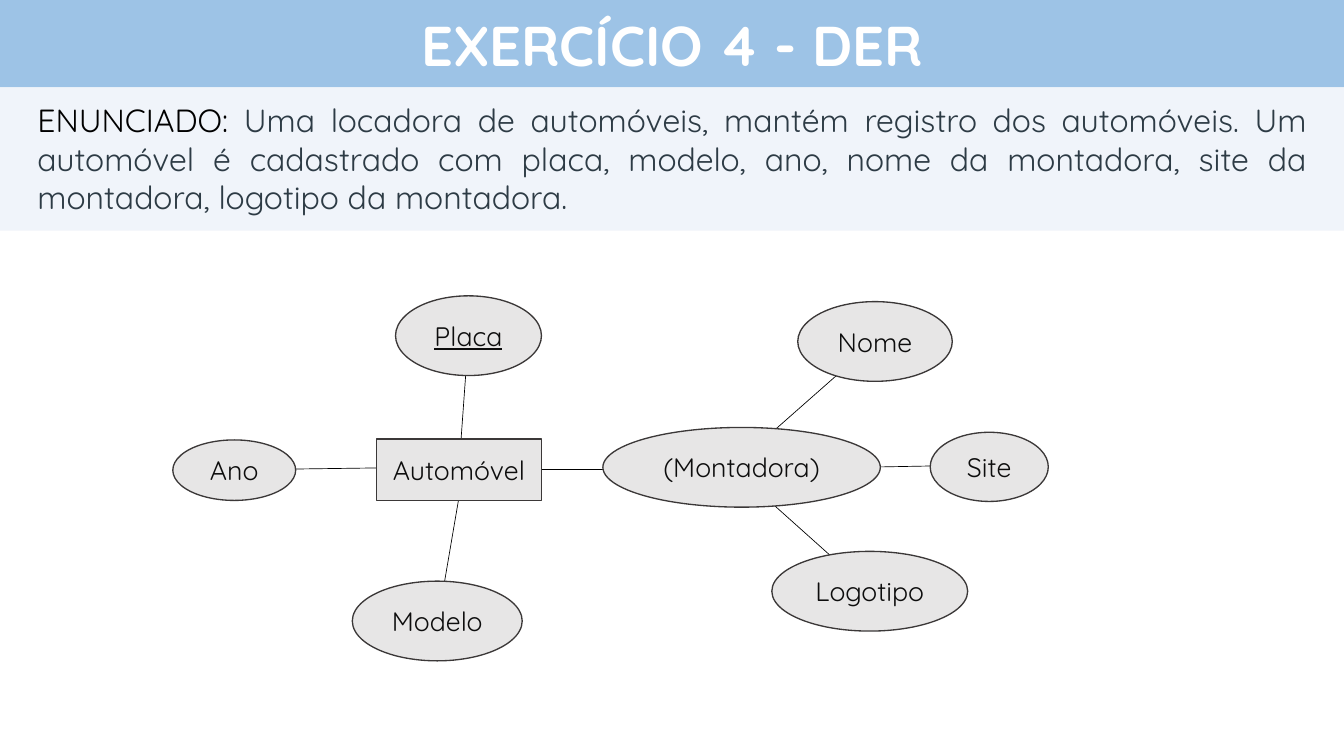
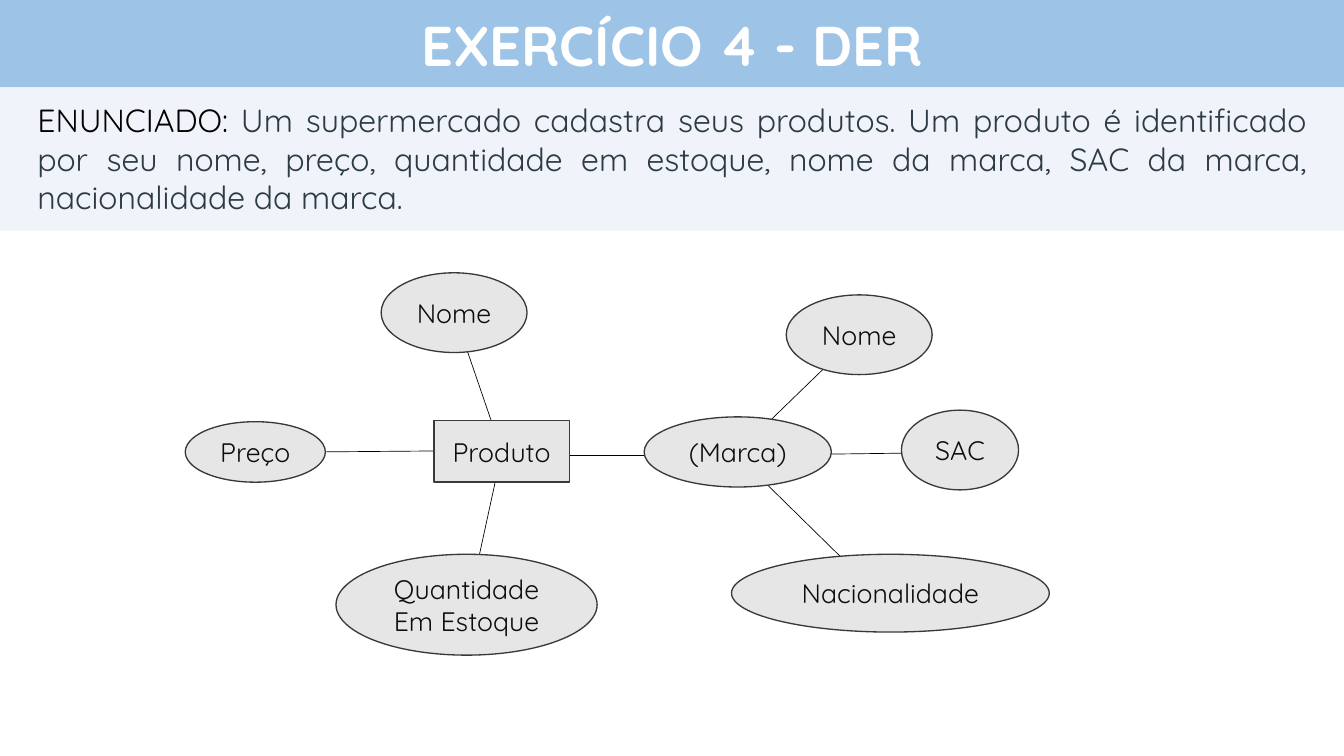
"""Build two entity-relationship exercise slides."""
from dataclasses import dataclass

from lxml import etree
from pptx import Presentation
from pptx.dml.color import RGBColor
from pptx.enum.shapes import MSO_CONNECTOR, MSO_SHAPE
from pptx.enum.text import MSO_ANCHOR, MSO_AUTO_SIZE, PP_ALIGN
from pptx.oxml.ns import qn
from pptx.util import Inches, Pt

RECT, OVAL = MSO_SHAPE.RECTANGLE, MSO_SHAPE.OVAL
STRAIGHT = MSO_CONNECTOR.STRAIGHT
TOP, MIDDLE = MSO_ANCHOR.TOP, MSO_ANCHOR.MIDDLE
CENTER, JUSTIFY = PP_ALIGN.CENTER, PP_ALIGN.JUSTIFY
FIT_SHAPE = MSO_AUTO_SIZE.SHAPE_TO_FIT_TEXT

FONT = "Quicksand"
WIDTH, HEIGHT = 14, 7.87
TITLE_HEIGHT, STATEMENT_HEIGHT = 0.91, 1.49
TITLE = "EXERCÍCIO 4 - DER"
COLORS = {
    "title_band": "9DC3E6",
    "title": "FFFFFF",
    "statement_band": "F0F4FA",
    "label": "000000",
    "statement": "2D3B45",
    "node": "E7E6E6",
    "outline": "3B3838",
    "node_text": "0D0D0D",
    "link": "000000",
}


@dataclass(frozen=True)
class Node:
    text: str
    left: float
    top: float
    width: float
    height: float = 0.83
    shape: MSO_SHAPE = OVAL
    key: bool = False


@dataclass(frozen=True)
class Link:
    x1: float
    y1: float
    x2: float
    y2: float


@dataclass(frozen=True)
class Exercise:
    statement: str
    nodes: tuple[Node, ...]
    links: tuple[Link, ...]


EXERCISES = (
    Exercise(
        "Uma locadora de automóveis, mantém registro dos automóveis. "
        "Um automóvel é cadastrado com placa, modelo, ano, nome da montadora, "
        "site da montadora, logotipo da montadora.",
        (
            Node("Automóvel", 3.92, 4.57, 1.72, 0.64, RECT),
            Node("Placa", 4.12, 3.08, 1.52, key=True),
            Node("Modelo", 3.67, 6.05, 1.77),
            Node("Ano", 1.8, 4.58, 1.28, 0.63),
            Node("(Montadora)", 6.28, 4.45, 2.89),
            Node("Nome", 8.31, 3.14, 1.61),
            Node("Site", 9.69, 4.5, 1.23, 0.72),
            Node("Logotipo", 8.04, 5.74, 2.04),
        ),
        (
            Link(4.88, 3.5, 4.78, 4.89),
            Link(2.54, 4.89, 4.78, 4.86),
            Link(4.56, 6.47, 4.83, 4.89),
            Link(7.65, 4.89, 4.88, 4.89),
            Link(9.11, 3.56, 7.6, 4.89),
            Link(10.3, 4.84, 7.6, 4.89),
            Link(9.06, 6.15, 7.65, 4.89),
        ),
    ),
    Exercise(
        "Um supermercado cadastra seus produtos. Um produto é identificado "
        "por seu nome, preço, quantidade em estoque, nome da marca, "
        "SAC da marca, nacionalidade da marca.",
        (
            Node("Produto", 4.52, 4.38, 1.41, 0.64, RECT),
            Node("(Marca)", 6.71, 4.34, 1.95, 0.73),
            Node("Nome", 8.19, 3.07, 1.52),
            Node("SAC", 9.39, 4.27, 1.22),
            Node("Nacionalidade", 7.62, 5.77, 3.31, 0.81),
            Node("Nome", 3.97, 2.84, 1.52),
            Node("Quantidade Em Estoque", 3.5, 5.77, 2.72, 1.05),
            Node("Preço", 1.93, 4.39, 1.46, 0.63),
        ),
        (
            Link(4.75, 3.31, 5.23, 4.71),
            Link(2.66, 4.71, 5.12, 4.69),
            Link(4.86, 6.39, 5.23, 4.69),
            Link(7.68, 4.74, 5.23, 4.74),
            Link(8.95, 3.48, 7.68, 4.71),
            Link(10, 4.71, 7.68, 4.74),
            Link(9.27, 6.3, 7.65, 4.71),
        ),
    ),
)


def rgb(name: str) -> RGBColor:
    return RGBColor.from_string(COLORS[name])


def add_box(slide, shape: MSO_SHAPE, left: float, top: float,
            width: float, height: float, fill: str):
    sp = slide.shapes.add_shape(
        shape, Inches(left), Inches(top), Inches(width), Inches(height))
    sp.shadow.inherit = False
    sp.fill.solid()
    sp.fill.fore_color.rgb = rgb(fill)
    sp.line.fill.background()
    sp.text_frame.word_wrap = True
    sp.text_frame.vertical_anchor = MIDDLE
    return sp


def set_text(sp, text: str, size: float, color: str):
    p = sp.text_frame.paragraphs[0]
    p.text = text
    p.alignment = CENTER
    p.font.name, p.font.size = FONT, Pt(size)
    p.font.color.rgb = rgb(color)
    return p


def add_title(slide) -> None:
    sp = add_box(slide, RECT, 0, 0, WIDTH, TITLE_HEIGHT, "title_band")
    set_text(sp, TITLE, 42, "title").font.bold = True


def add_statement(slide, text: str) -> None:
    sp = add_box(slide, RECT, 0, TITLE_HEIGHT, WIDTH, STATEMENT_HEIGHT,
                 "statement_band")
    tf = sp.text_frame
    tf.vertical_anchor, tf.auto_size = TOP, FIT_SHAPE
    tf.margin_left = tf.margin_right = Inches(0.39)
    tf.margin_top = tf.margin_bottom = Inches(0.14)
    p = tf.paragraphs[0]
    p.alignment, p.space_after = JUSTIFY, Pt(16.8)
    p.font.name, p.font.size = FONT, Pt(24)
    for part, color in (("ENUNCIADO: ", "label"), (text, "statement")):
        r = p.add_run()
        r.text = part
        r.font.color.rgb = rgb(color)


def add_node(slide, node: Node) -> None:
    sp = add_box(slide, node.shape, node.left, node.top,
                 node.width, node.height, "node")
    sp.line.color.rgb, sp.line.width = rgb("outline"), Pt(1)
    p = set_text(sp, node.text, 20, "node_text")
    if node.key:
        p.font.underline = True


def add_link(slide, link: Link) -> None:
    cxn = slide.shapes.add_connector(
        STRAIGHT, Inches(link.x1), Inches(link.y1),
        Inches(link.x2), Inches(link.y2))
    cxn.line.color.rgb, cxn.line.width = rgb("link"), Pt(0.5)
    etree.SubElement(cxn._element.spPr, qn("a:effectLst"))


def add_exercise(prs, exercise: Exercise) -> None:
    slide = prs.slides.add_slide(prs.slide_layouts[6])
    for link in exercise.links:
        add_link(slide, link)
    add_title(slide)
    add_statement(slide, exercise.statement)
    for node in exercise.nodes:
        add_node(slide, node)


def main() -> None:
    prs = Presentation()
    prs.slide_width, prs.slide_height = Inches(WIDTH), Inches(HEIGHT)
    for exercise in EXERCISES:
        add_exercise(prs, exercise)
    prs.save("out.pptx")


if __name__ == "__main__":
    main()
